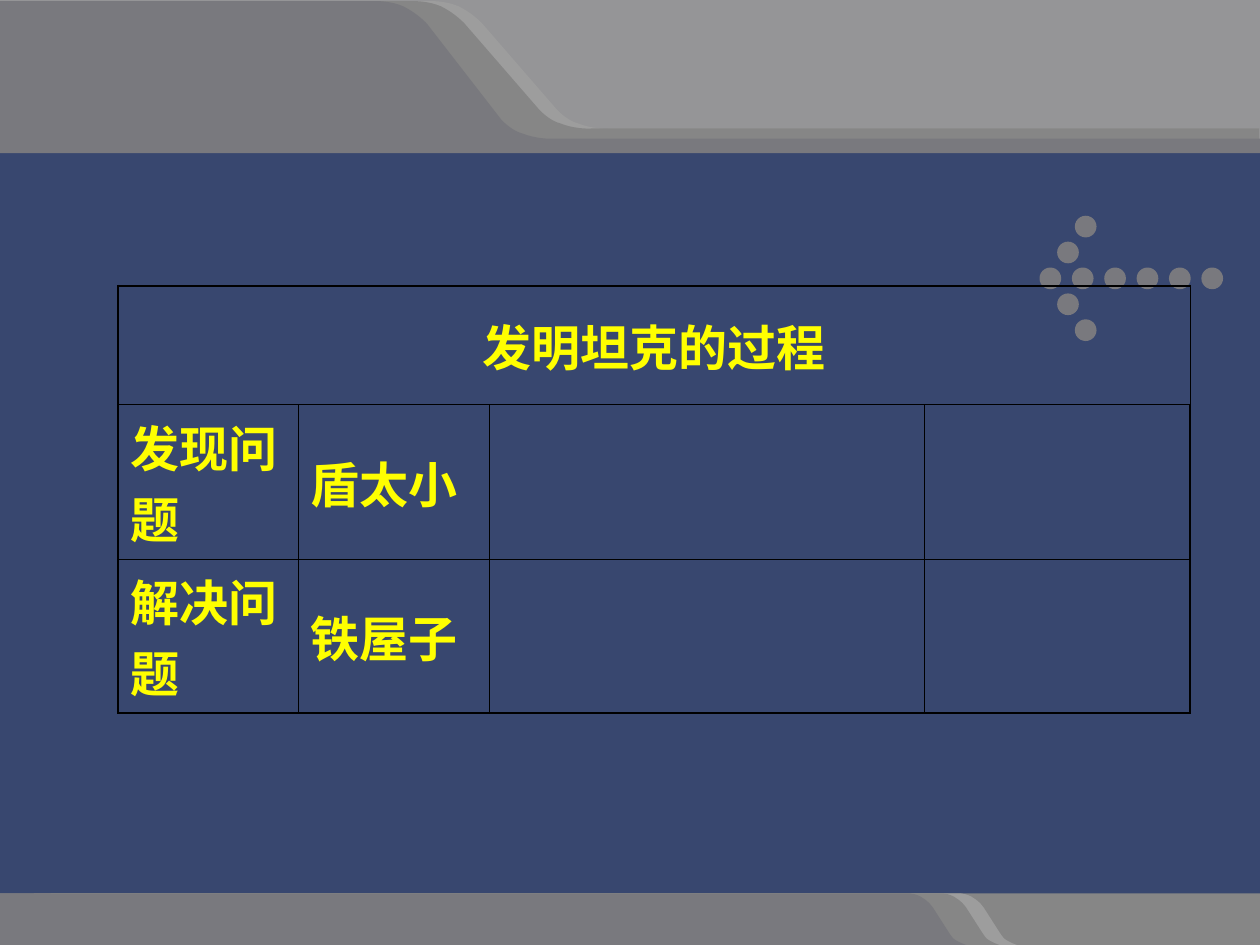
from dataclasses import dataclass
from math import cos, pi, sin

from lxml.etree import SubElement
from pptx import Presentation
from pptx.dml.color import RGBColor
from pptx.enum.shapes import MSO_SHAPE
from pptx.enum.text import MSO_ANCHOR, PP_ALIGN
from pptx.oxml.ns import qn
from pptx.util import Pt

PAGE_WIDTH, PAGE_HEIGHT = 720, 540


@dataclass(frozen=True)
class Theme:
    background: str = "38476F"
    header: str = "959597"
    light: str = "9D9D9D"
    middle: str = "868686"
    dark: str = "79797E"
    text: str = "FFFF00"
    border: str = "000000"
    font: str = "Arial"
    text_size: float = 28
    outer_line: float = 1.08
    inner_line: float = 0.45


def write_text(frame, text, *, font, size, color, bold=False, align=PP_ALIGN.LEFT):
    para = frame.paragraphs[0]
    para.alignment = align
    span = para.add_run()
    span.text = text
    span.font.name = font
    span.font.size = Pt(size)
    span.font.bold = bold
    span.font.color.rgb = RGBColor.from_string(color)


def curve(start, first, second, end, steps=10):
    points = []
    for step in range(1, steps + 1):
        t = step / steps
        weights = ((1 - t) ** 3, 3 * t * (1 - t) ** 2, 3 * t * t * (1 - t), t ** 3)
        points.append(tuple(
            sum(weight * value for weight, value in zip(weights, values))
            for values in zip(start, first, second, end)
        ))
    return points


def slope(start, shoulder, knee, low, bend, finish):
    return [
        start,
        *curve(start, start, *shoulder),
        *curve(shoulder[1], knee[0], knee[1], knee[1]),
        low,
        *curve(low, low, *bend),
        *curve(bend[1], finish[0], finish[1], finish[1]),
    ]


def top_band(left, bend, right, drop=0, base=80):
    line = slope((0, 0.7), ((8.6, 0), (17.3, 3.6)), ((25.9, 7.9), (31, 13.7)),
                 (73.4, 62.6 + drop), ((79.2, 69 + drop), (85.7, 70.6 + drop)),
                 ((95, 74.2 + drop), (103.7, 73.4 + drop)))
    return [(left, base), (left, 0.7), *((bend + x, y) for x, y in line),
            (right, 73.4 + drop), (right, base)]


def bottom_band(left, bend):
    line = slope((0, 510.5), ((5, 510.5), (8.6, 513.4)), ((12.2, 515.5), (14.4, 519.1)),
                 (22.3, 531.4), ((24.5, 535), (25.9, 536.4)), ((28.8, 538.6), (33.1, 540)))
    return [(left, PAGE_HEIGHT), (left, 510.5), *((bend + x, y) for x, y in line)]


def circle(center_x, center_y, radius, steps=24):
    angles = [2 * pi * step / steps for step in range(steps)]
    return [(center_x + radius * cos(a), center_y + radius * sin(a)) for a in angles]


class SlideBuilder:
    def __init__(self, page, theme):
        self.page = page
        self.theme = theme

    def paint(self, shape, color):
        shape.shadow.inherit = False
        shape.fill.solid()
        shape.fill.fore_color.rgb = RGBColor.from_string(color)
        shape.line.fill.background()

    def rectangle(self, left, top, width, height, color):
        box = self.page.shapes.add_shape(
            MSO_SHAPE.RECTANGLE, Pt(left), Pt(top), Pt(width), Pt(height))
        self.paint(box, color)

    def outline(self, contours, color):
        builder = None
        for contour in contours:
            (x, y), *rest = [(Pt(x), Pt(y)) for x, y in contour]
            if builder is None:
                builder = self.page.shapes.build_freeform(x, y)
            else:
                builder.move_to(x, y)
            builder.add_line_segments(rest, close=True)
        self.paint(builder.convert_to_shape(), color)

    def border(self, cell, side, width):
        line = SubElement(cell._tc.get_or_add_tcPr(), qn(f"a:ln{side}"), w=str(Pt(width)))
        fill = SubElement(line, qn("a:solidFill"))
        SubElement(fill, qn("a:srgbClr"), val=self.theme.border)

    def table(self, left, top, columns, rows, title, labels):
        theme = self.theme
        grid = self.page.shapes.add_table(
            len(rows), len(columns), Pt(left), Pt(top), Pt(sum(columns)), Pt(sum(rows))).table
        grid.first_row = grid.horz_banding = False
        for column, width in zip(grid.columns, columns):
            column.width = Pt(width)
        for row, height in zip(grid.rows, rows):
            row.height = Pt(height)
        grid.cell(0, 0).merge(grid.cell(0, len(columns) - 1))
        for r in range(len(rows)):
            for c in range(len(columns)):
                cell = grid.cell(r, c)
                edges = {"L": c == 0, "R": c == len(columns) - 1,
                         "T": r == 0, "B": r == len(rows) - 1}
                for side, outer in edges.items():
                    self.border(cell, side, theme.outer_line if outer else theme.inner_line)
                cell.fill.background()
        style = dict(font=theme.font, size=theme.text_size, color=theme.text, bold=True)
        heading = grid.cell(0, 0)
        heading.vertical_anchor = MSO_ANCHOR.MIDDLE
        write_text(heading.text_frame, title, align=PP_ALIGN.CENTER, **style)
        for r, texts in enumerate(labels, 1):
            for c, text in enumerate(texts):
                cell = grid.cell(r, c)
                cell.vertical_anchor = MSO_ANCHOR.MIDDLE if c else MSO_ANCHOR.TOP
                write_text(cell.text_frame, text, **style)


def main():
    deck = Presentation()
    deck.slide_width, deck.slide_height = Pt(PAGE_WIDTH), Pt(PAGE_HEIGHT)
    theme = Theme()
    slide = SlideBuilder(deck.slides.add_slide(deck.slide_layouts[6]), theme)

    slide.rectangle(0, 0.7, PAGE_WIDTH, 539.3, theme.background)
    slide.rectangle(0, 510.5, PAGE_WIDTH, 29.5, theme.middle)
    slide.rectangle(0, 0, PAGE_WIDTH, 80, theme.header)

    slide.outline([bottom_band(29, 548)], theme.light)
    slide.outline([top_band(32.4, 244.8, 719.5)], theme.light)

    tip_x, tip_y = 600.2, 159.1
    shaft = [(tip_x + 18.5 * i, tip_y) for i in range(6)]
    head = [(tip_x + 10.1 * abs(i), tip_y + 14.8 * i) for i in (-1, -2, 1, 2)]
    slide.outline([circle(x, y, 6.2) for x, y in shaft + head], theme.dark)

    slide.outline([top_band(22.3, 234.7, 719.5)], theme.middle)
    slide.outline([bottom_band(19.4, 538)], theme.middle)
    slide.outline([top_band(0, 213.1, PAGE_WIDTH, drop=5.8, base=87.5)], theme.dark)
    slide.outline([bottom_band(0, 519)], theme.dark)

    slide.table(67.5, 163.3, [103, 109, 248.5, 152], [68, 85, 81.5], "发明坦克的过程",
                [("发现问题", "盾太小"), ("解决问题", "铁屋子")])
    deck.save("out.pptx")


if __name__ == "__main__":
    main()
